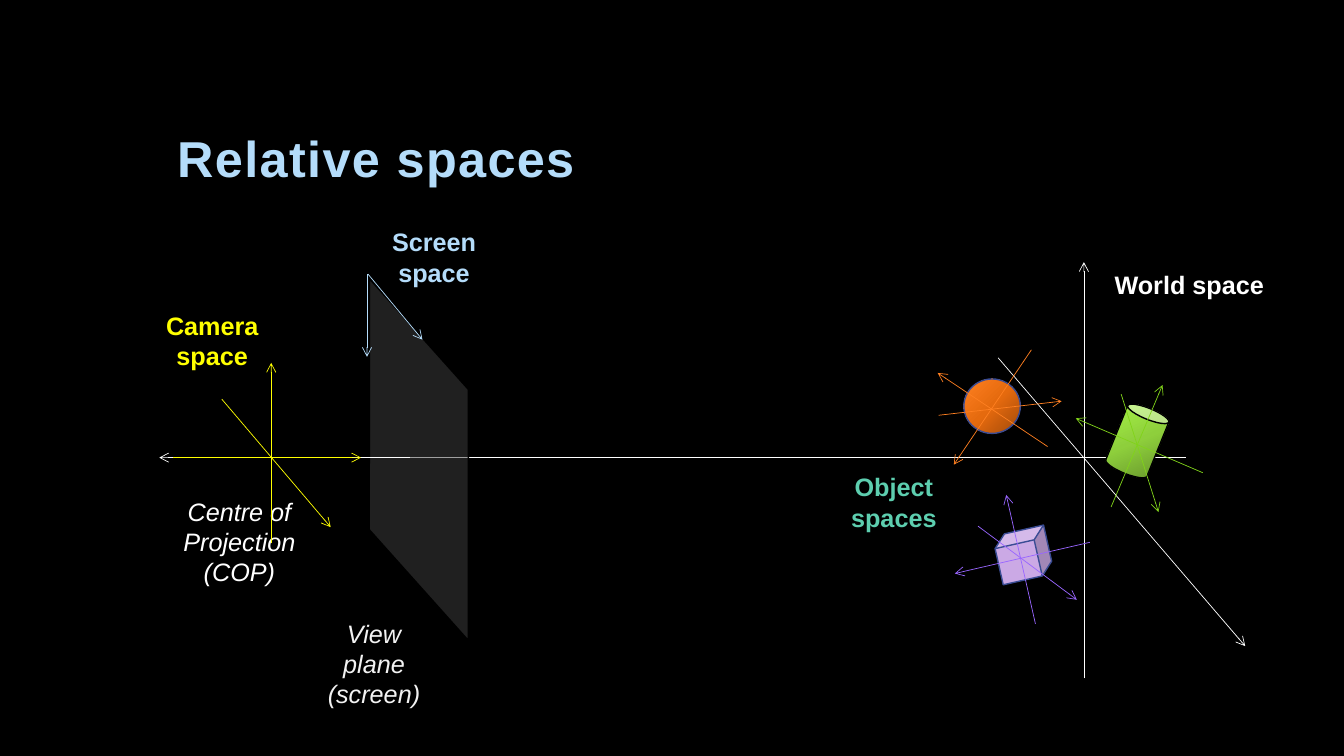
from lxml import etree
from pptx import Presentation
from pptx import util as u
from pptx.dml import color
from pptx.enum import shapes as s, text as t
from pptx.oxml import ns

THEME = {
    "back": "000000", "white": "FFFFFF", "pale": "F2F2F2", "sky": "B4DCFA",
    "sun": "FFFF00", "teal": "5DCEAF", "violet": "9966FF", "orange": "FF8021",
    "green": "81D31A", "edge": "3A4C94", "lilac": "CBA9E5", "plane": "404040",
    "ball": ("A14A0A", "E56A0E", "FF8021"),
    "drum": ("64912A", "8ECF3C", "A8F547"),
    "font": "Arial", "title": 36, "body": 18, "hair": 0.5, "rim": 1,
}

BOLD = {"bold": True}
SLANT = {"italic": True}
TITLE = ("Relative spaces", (1.66, 0.42, 10, 1.5), "sky", BOLD)

WORLD = [("white", (11.76, 4.54), (1.58, 4.54)),
         ("white", (10.75, 6.73), (10.75, 2.6)),
         ("white", (9.9, 3.55), (12.35, 6.41))]
CENTRE = [("Centre of Projection (COP)", (1.46, 4.87, 1.83, 1.01), "white", SLANT)]
SOLIDS = [("OVAL", (9.56, 3.76, 0.56, 0.54), 0, "ball", "edge"),
          ("CUBE", (9.89, 5.26, 0.52, 0.49), 347.3, "lilac", "edge"),
          ("CAN", (11.06, 4.03, 0.44, 0.69), 22, "drum", "back")]
VIEW = [("View plane\v(screen)", (3.06, 6.08, 1.3, 1.01), "pale", SLANT)]
PLANE = ("PARALLELOGRAM", (2.49, 3.73, 3.33, 1.66), 48.2, "plane", "back")
SIGHT = ("white", (3.12, 4.54), (4.07, 4.54))
AXES = [
    ("violet", (10.81, 5.38), (9.47, 5.69)),
    ("violet", (10.27, 6.19), (9.98, 4.91)),
    ("violet", (9.7, 5.22), (10.68, 5.95)),
    ("orange", (10.23, 3.47), (9.46, 4.61)),
    ("orange", (10.39, 4.43), (9.3, 3.7)),
    ("orange", (9.31, 4.12), (10.53, 3.98)),
    ("green", (11.93, 4.69), (10.67, 4.15)),
    ("green", (11.02, 5.03), (11.53, 3.82)),
    ("green", (11.12, 3.91), (11.49, 5.08)),
    ("sun", (1.72, 4.54), (3.58, 4.54)),
    ("sun", (2.69, 5.39), (2.69, 3.6)),
    ("sun", (2.2, 3.96), (3.28, 5.23)),
    ("sky", (3.64, 2.72), (3.64, 3.54)),
    ("sky", (3.65, 2.72), (4.19, 3.37)),
]
LABELS = [("World space", (10.9, 2.62, 1.79, 0.4), "white", BOLD),
          ("Object spaces", (7.97, 4.63, 1.79, 0.71), "teal", BOLD),
          ("Camera space", (1.21, 3.03, 1.79, 0.71), "sun", BOLD),
          ("Screen space", (3.41, 2.2, 1.79, 0.71), "sky", BOLD)]


def rgb(name):
    return color.RGBColor.from_string(THEME[name])


def inches(vals):
    return [u.Inches(v) for v in vals]


def assign(obj, vals):
    for key, val in vals.items():
        setattr(obj, key, val)


def sub(node, tag, **vals):
    return etree.SubElement(node, ns.qn(tag), **vals)


def write(slide, label, size="body", align=t.PP_ALIGN.CENTER, **frame):
    words, box, hue, style = label
    item = slide.shapes.add_textbox(*inches(box))
    assign(item.text_frame, {"word_wrap": True, **frame})
    para = item.text_frame.paragraphs[0]
    para.text = words
    para.alignment = align
    for run in para.runs:
        assign(run.font, {"name": THEME["font"], "size": u.Pt(THEME[size]), **style})
        run.font.color.rgb = rgb(hue)
    return para


def draw(slide, axis, arrow=True):
    hue, start, end = axis
    line = slide.shapes.add_connector(s.MSO_CONNECTOR.STRAIGHT, *inches(start + end))
    line.line.color.rgb = rgb(hue)
    line.line.width = u.Pt(THEME["hair"])
    if arrow:
        sub(line.line._get_or_add_ln(), "a:tailEnd", type="arrow")
    sub(line._element.spPr, "a:effectLst")


def blend(shape, hues):
    shape.fill.gradient()
    shape.fill.gradient_angle = 135
    stops = shape._element.spPr.find(ns.qn("a:gradFill")).find(ns.qn("a:gsLst"))
    for stop in list(stops):
        stops.remove(stop)
    for num, hue in enumerate(hues):
        stop = sub(stops, "a:gs", pos=str(num * 50000))
        sub(stop, "a:srgbClr", val=hue)


def build(slide, solid):
    kind, box, turn, fill, rim = solid
    shape = slide.shapes.add_shape(getattr(s.MSO_SHAPE, kind), *inches(box))
    shape.rotation = turn
    shape.shadow.inherit = False
    if isinstance(THEME[fill], tuple):
        blend(shape, THEME[fill])
    else:
        shape.fill.solid()
        shape.fill.fore_color.rgb = rgb(fill)
    shape.line.color.rgb = rgb(rim)
    shape.line.width = u.Pt(THEME["rim"])
    return shape


def screen(slide):
    shape = build(slide, PLANE)
    shape.adjustments[0] = 1.118
    props = shape._element.spPr
    props.find(ns.qn("a:xfrm")).set("flipV", "1")
    tint = props.find(ns.qn("a:solidFill")).find(ns.qn("a:srgbClr"))
    sub(tint, "a:alpha", val="50000")


def main():
    deck = Presentation()
    assign(deck, {"slide_width": u.Inches(13.33), "slide_height": u.Inches(7.5)})
    slide = deck.slides.add_slide(deck.slide_layouts[6])
    slide.background.fill.solid()
    slide.background.fill.fore_color.rgb = rgb("back")

    head = write(slide, TITLE, "title", t.PP_ALIGN.LEFT,
                 vertical_anchor=t.MSO_ANCHOR.BOTTOM)
    head.line_spacing = 0.9
    head.runs[0].font._element.set("spc", "100")

    for axis in WORLD:
        draw(slide, axis)
    for solid in SOLIDS:
        build(slide, solid)
    for label in CENTRE + VIEW:
        write(slide, label)
    screen(slide)
    draw(slide, SIGHT, arrow=False)
    for axis in AXES:
        draw(slide, axis)
    for label in LABELS:
        write(slide, label)
    deck.save("out.pptx")


if __name__ == "__main__":
    main()
